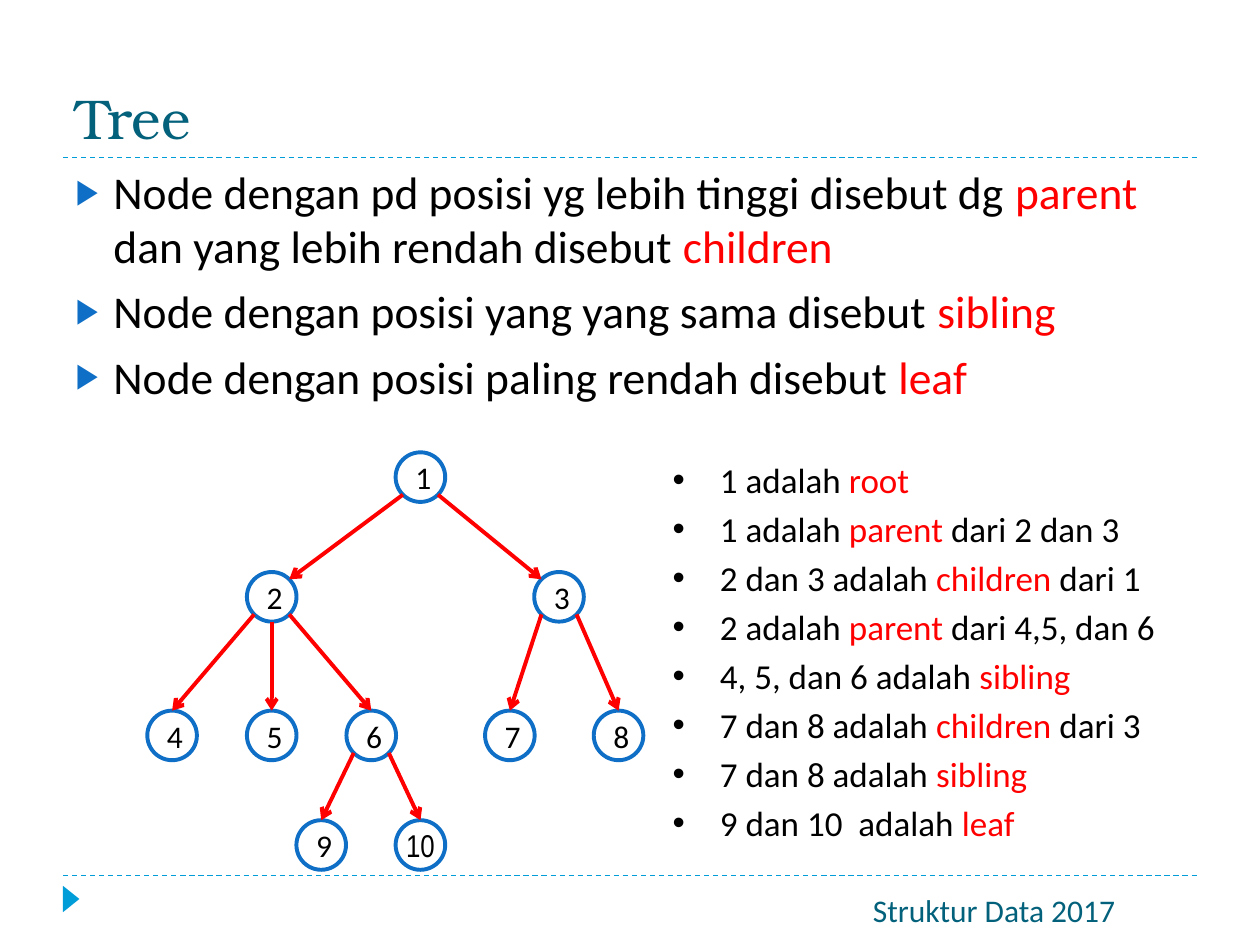
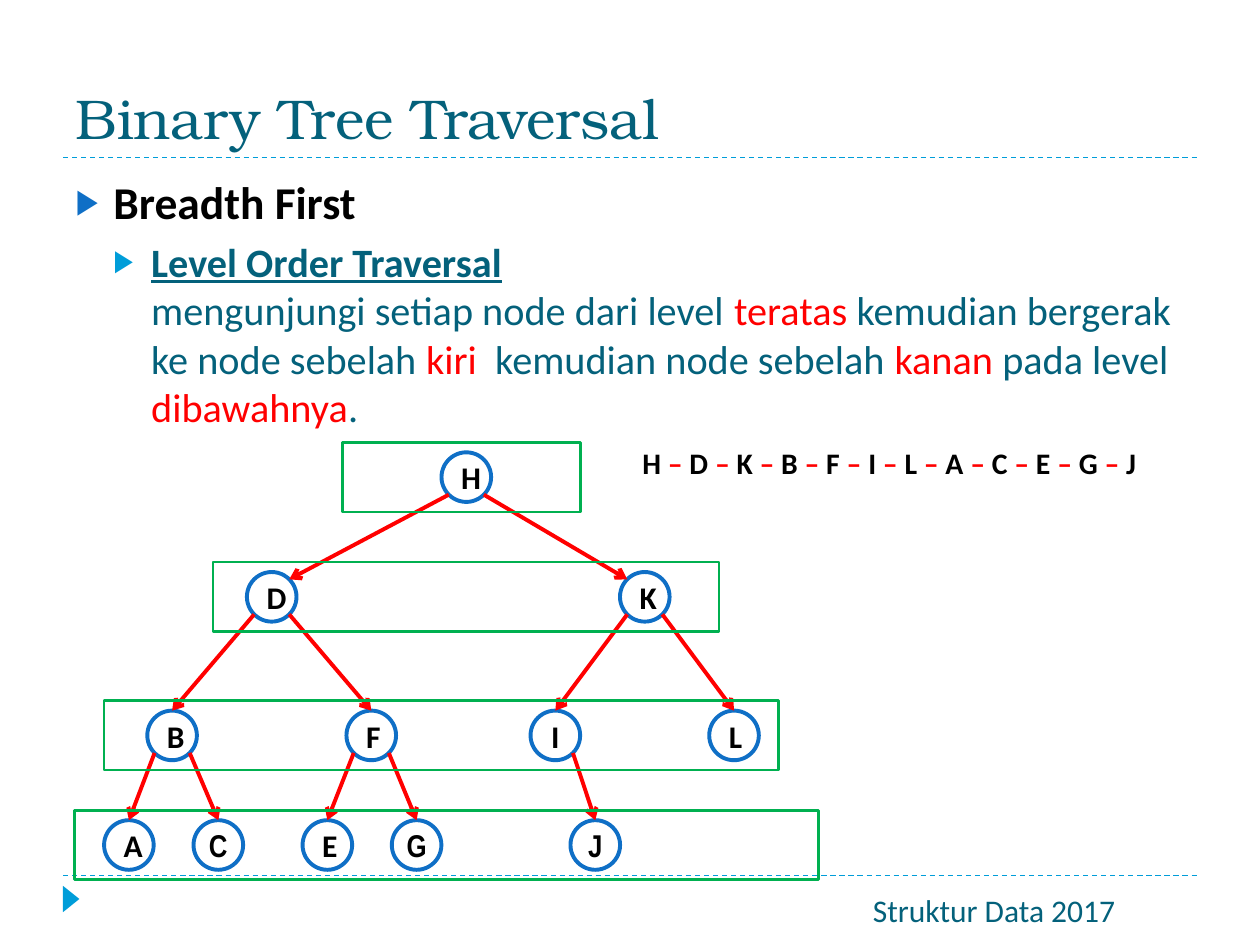
"""Build two slides on trees and level order traversal."""
from copy import deepcopy
from math import sqrt

from lxml.etree import SubElement
from pptx import Presentation
from pptx.dml.color import RGBColor
from pptx.enum.dml import MSO_LINE
from pptx.enum.shapes import MSO_CONNECTOR, MSO_SHAPE
from pptx.enum.text import MSO_ANCHOR, MSO_AUTO_SIZE, PP_ALIGN
from pptx.oxml.ns import qn
from pptx.util import Pt

BLACK = RGBColor(0, 0, 0)
WHITE = RGBColor(255, 255, 255)
RED = RGBColor(255, 0, 0)
GREEN = RGBColor(0, 0xB0, 0x50)
BLUE = RGBColor(0x0F, 0x6F, 0xC6)
SKY = RGBColor(0, 0x9D, 0xD9)
TEAL = RGBColor(0x04, 0x61, 0x7B)
BODY_FONT, TITLE_FONT, NARROW_FONT = "Calibri", "TeX Gyre Bonum", "Arial Narrow"

FOOTER = "Struktur Data 2017"
RULE_TOPS = (90, 500.4)
ROW_TOPS = (258.5, 326.9, 406.1, 468.7)
NODE_SIZE = 28.35
NARROW_LABELS = ("10", "C", "G", "J")

LEVELS = [
    {"size": 26, "color": BLACK, "bullet": BLUE, "indent": 21.6, "hang": 21.6, "before": 6},
    {"size": 23, "color": TEAL, "bullet": SKY, "indent": 43.2, "hang": 21.6, "before": 5},
]
FACT_STYLE = {"size": 20, "color": BLACK, "indent": 27, "hang": 27, "before": 4}
SEQUENCE_STYLE = {"size": 17, "color": BLACK, "indent": 27, "hang": 27, "before": 0}

# Words between bars are red
SLIDES = [
    {
        "title": "Tree",
        "body_box": (36, 90, 648, 175),
        "body": [
            (0, "", "Node dengan pd posisi yg lebih tinggi disebut dg |parent|"
                    " dan yang lebih rendah disebut |children"),
            (0, "", "Node dengan posisi yang yang sama disebut |sibling"),
            (0, "", "Node dengan posisi paling rendah disebut |leaf"),
        ],
        "bold": False,
        "nodes": {
            "1": (0, 226.1, None),
            "2": (1, 141.1, "1"), "3": (1, 305.3, "1"),
            "4": (2, 84.2, "2"), "5": (2, 141.1, "2"), "6": (2, 198, "2"),
            "7": (2, 277.2, "3"), "8": (2, 339.3, "3"),
            "9": (3, 169.4, "6"), "10": (3, 226.1, "6"),
        },
        "facts": [
            "1 adalah |root",
            "1 adalah |parent| dari 2 dan 3",
            "2 dan 3 adalah |children| dari 1",
            "2 adalah |parent| dari 4,5, dan 6",
            "4, 5, dan 6 adalah |sibling",
            "7 dan 8 adalah |children| dari 3",
            "7 dan 8 adalah |sibling",
            "9 dan 10  adalah |leaf",
        ],
    },
    {
        "title": "Binary Tree Traversal",
        "body_box": (36, 95.8, 648, 388.8),
        "body": [
            (0, "Breadth First", ""),
            (1, "Level Order Traversal",
             "mengunjungi setiap node dari level |teratas |kemudian bergerak ke node sebelah "
             "|kiri|  kemudian node sebelah |kanan| pada level |dibawahnya|."),
        ],
        "bold": True,
        "nodes": {
            "H": (0, 252.3, None),
            "D": (1, 141.1, "H"), "K": (1, 354.3, "H"),
            "B": (2, 84.2, "D"), "F": (2, 198, "D"), "I": (2, 303.2, "K"), "L": (2, 405.3, "K"),
            "A": (3, 59.5, "B"), "C": (3, 110.6, "B"),
            "E": (3, 172.9, "F"), "G": (3, 223.9, "F"), "J": (3, 326, "I"),
        },
        "sequence": "HDKBFILACEGJ",
        "frames": [(195.8, 136.1), (121.7, 289.2), (59.5, 385.5), (42.5, 425.2)],
    },
]


def set_values(target, values):
    """Set each named attribute on the target."""
    for name, value in values.items():
        setattr(target, name, value)


def add_run(paragraph, text, size, color, name=BODY_FONT, **values):
    """Add one formatted run."""
    run = paragraph.add_run()
    run.text = text
    set_values(run.font, {"size": Pt(size), "name": name, **values})
    run.font.color.rgb = color
    return run


def add_marked_runs(paragraph, text, style, **values):
    """Add runs, with every second part between bars in red."""
    for index, part in enumerate(text.split("|")):
        if part:
            add_run(paragraph, part, style["size"], RED if index % 2 else style["color"], **values)


def format_paragraph(paragraph, style, first, symbol=None):
    """Give a paragraph its bullet, hanging indent and spacing."""
    properties = paragraph._p.get_or_add_pPr()
    properties.set("marL", str(Pt(style["indent"])))
    properties.set("indent", str(-Pt(style["hang"])))
    if symbol is None:
        SubElement(properties, qn("a:buNone"))
    else:
        if "bullet" in style:
            color = SubElement(properties, qn("a:buClr"))
            SubElement(color, qn("a:srgbClr"), val=str(style["bullet"]))
            SubElement(properties, qn("a:buSzPct"), val="76000")
        SubElement(properties, qn("a:buFont"), typeface="Arial")
        SubElement(properties, qn("a:buChar"), char=symbol)
    paragraph.space_before = Pt(0 if first else style["before"])


def next_paragraph(frame, first):
    """Return the first paragraph or a new one."""
    return frame.paragraphs[0] if first else frame.add_paragraph()


def place(shape, box):
    """Move and size a shape in points."""
    set_values(shape, dict(zip(("left", "top", "width", "height"), map(Pt, box))))


def add_text_box(slide, box):
    """Add a wrapping text box and return its frame."""
    frame = slide.shapes.add_textbox(*map(Pt, box)).text_frame
    frame.word_wrap = True
    return frame


def add_outline(slide, kind, box, fill=None, line=None, width=0):
    """Add a preset shape with plain fill and line."""
    shape = slide.shapes.add_shape(kind, *map(Pt, box))
    shape.shadow.inherit = False
    if fill is None:
        shape.fill.background()
    else:
        shape.fill.solid()
        shape.fill.fore_color.rgb = fill
    if line is None:
        shape.line.fill.background()
    else:
        shape.line.color.rgb = line
        shape.line.width = Pt(width)
    return shape


def add_line(slide, start, end, color, width):
    """Add a straight line without shadow."""
    connector = slide.shapes.add_connector(MSO_CONNECTOR.STRAIGHT, *map(Pt, (*start, *end)))
    connector.line.color.rgb = color
    connector.line.width = Pt(width)
    SubElement(connector._element.spPr, qn("a:effectLst"))
    return connector


def add_base(presentation, title):
    """Add a slide with title, dashed rules, marker and footer."""
    slide = presentation.slides.add_slide(presentation.slide_layouts[1])
    for top in RULE_TOPS:
        add_line(slide, (36, top), (684, top), SKY, 0.75).line.dash_style = MSO_LINE.DASH
    marker = add_outline(slide, MSO_SHAPE.ISOSCELES_TRIANGLE, (33.1, 509, 15.1, 9.4), SKY)
    marker.rotation = 90
    footer = add_text_box(slide, (421.9, 505.4, 292.3, 28.8)).paragraphs[0]
    footer.alignment = PP_ALIGN.CENTER
    add_run(footer, FOOTER, 18, TEAL)
    place(slide.shapes.title, (36, 12.2, 648, 77.8))
    frame = slide.shapes.title.text_frame
    set_values(frame, {"vertical_anchor": MSO_ANCHOR.BOTTOM, "auto_size": MSO_AUTO_SIZE.NONE})
    frame.paragraphs[0].alignment = PP_ALIGN.LEFT
    add_run(frame.paragraphs[0], title, 32, TEAL, TITLE_FONT)
    return slide


def fill_body(slide, box, items):
    """Fill the body placeholder with bulleted items."""
    body = slide.placeholders[1]
    place(body, box)
    frame = body.text_frame
    frame.auto_size = MSO_AUTO_SIZE.NONE
    for index, (level, heading, text) in enumerate(items):
        style = LEVELS[level]
        paragraph = next_paragraph(frame, index == 0)
        paragraph.level = level
        format_paragraph(paragraph, style, index == 0, "▶")
        if heading:
            run = add_run(paragraph, heading, style["size"], style["color"],
                          bold=True, underline=level > 0)
            if text:
                paragraph.add_line_break()
                paragraph._p[-1].append(deepcopy(run._r.rPr))
        add_marked_runs(paragraph, text, style)


def add_node(slide, label, left, top, bold):
    """Add one circled label."""
    circle = add_outline(slide, MSO_SHAPE.OVAL, (left, top, NODE_SIZE, NODE_SIZE), WHITE, BLUE, 2.25)
    frame = circle.text_frame
    frame.vertical_anchor = MSO_ANCHOR.MIDDLE
    narrow = label in NARROW_LABELS
    if narrow:
        set_values(frame, {"margin_left": 0, "margin_right": 0})
    frame.paragraphs[0].alignment = PP_ALIGN.CENTER
    add_run(frame.paragraphs[0], label, 18, BLACK, NARROW_FONT if narrow else BODY_FONT, bold=bold)


def rim_point(row, left, side, vertical):
    """Return the point of a circle at a side (-1, 0, 1), above or below its centre."""
    radius = NODE_SIZE / 2
    reach = radius / sqrt(2) if side else radius
    return left + radius + side * reach, ROW_TOPS[row] + radius + vertical * reach


def add_tree(slide, nodes, bold):
    """Draw all nodes, then an arrow from each parent to its child."""
    for label, (row, left, parent) in nodes.items():
        add_node(slide, label, left, ROW_TOPS[row], bold)
    for row, left, parent in nodes.values():
        if parent is None:
            continue
        parent_row, parent_left, _ = nodes[parent]
        side = (left > parent_left) - (left < parent_left)
        start = rim_point(parent_row, parent_left, side, 1)
        end = rim_point(row, left, -side if row == 1 else 0, -1)
        arrow = add_line(slide, start, end, RED, 2.25)
        SubElement(arrow._element.spPr.find(qn("a:ln")), qn("a:tailEnd"), type="arrow")


def add_facts(slide, facts):
    """Add the bulleted facts beside the tree."""
    frame = add_text_box(slide, (377.3, 258.5, 306, 238.3))
    for index, fact in enumerate(facts):
        paragraph = next_paragraph(frame, index == 0)
        format_paragraph(paragraph, FACT_STYLE, index == 0, "•")
        add_marked_runs(paragraph, fact, FACT_STYLE)


def add_sequence(slide, labels):
    """Add the visiting order with red dashes."""
    paragraph = add_text_box(slide, (360, 252.7, 357.1, 39.6)).paragraphs[0]
    format_paragraph(paragraph, SEQUENCE_STYLE, True)
    paragraph.line_spacing = 0.9
    add_marked_runs(paragraph, " |–| ".join(labels), SEQUENCE_STYLE, bold=True)


def main():
    """Build and save the presentation."""
    presentation = Presentation()
    set_values(presentation, {"slide_width": Pt(720), "slide_height": Pt(540)})
    for content in SLIDES:
        slide = add_base(presentation, content["title"])
        fill_body(slide, content["body_box"], content["body"])
        add_tree(slide, content["nodes"], content["bold"])
        if "facts" in content:
            add_facts(slide, content["facts"])
        if "sequence" in content:
            add_sequence(slide, content["sequence"])
        for top, (left, width) in zip(ROW_TOPS, content.get("frames", ())):
            add_outline(slide, MSO_SHAPE.RECTANGLE, (left, top - 5.7, width, 39.7), None, GREEN, 1.5)
    presentation.save("out.pptx")


if __name__ == "__main__":
    main()
